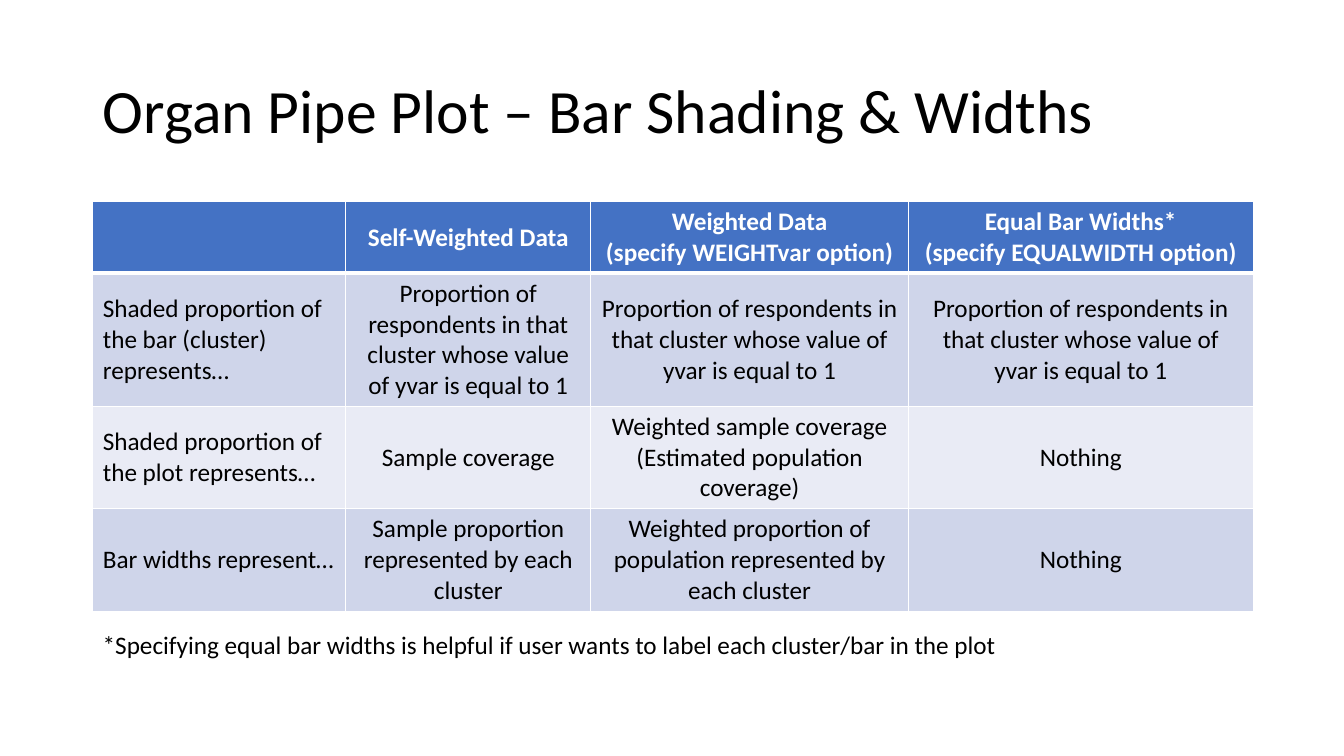
from dataclasses import dataclass

from lxml.etree import SubElement
from pptx import Presentation
from pptx.dml.color import RGBColor
from pptx.enum.text import MSO_ANCHOR as Anchor, MSO_AUTO_SIZE as AutoSize, PP_ALIGN as Align
from pptx.oxml.ns import qn
from pptx.slide import Slide
from pptx.table import _Cell as Cell
from pptx.text.text import TextFrame
from pptx.util import Emu, Pt

PX = 9144  # EMU in one px, 100 px to the inch
FONT = "Calibri"
BLACK, WHITE = "000000", "FFFFFF"
LEFT, WIDTH = 92, 1150


@dataclass(frozen=True)
class TableRow:
    height: int
    fill: str
    texts: tuple[str, ...]


COLUMN_WIDTHS = (251, 243, 315, 342)
CLUSTER_SHARE = "Proportion of respondents in that cluster whose value of yvar is equal to 1"
ROWS = (
    TableRow(70, "4472C4", (
        "",
        "Self-Weighted Data",
        "Weighted Data\n(specify WEIGHTvar option)",
        "Equal Bar Widths*\n(specify EQUALWIDTH option)",
    )),
    TableRow(131, "CFD5EA", (
        "Shaded proportion of the bar (cluster) represents…",
        CLUSTER_SHARE, CLUSTER_SHARE, CLUSTER_SHARE,
    )),
    TableRow(101, "E9EBF5", (
        "Shaded proportion of the plot represents…",
        "Sample coverage",
        "Weighted sample coverage\n(Estimated population coverage)",
        "Nothing",
    )),
    TableRow(101, "CFD5EA", (
        "Bar widths represent…",
        "Sample proportion represented by each cluster",
        "Weighted proportion of population represented by each cluster",
        "Nothing",
    )),
)


def px(length: int) -> Emu:
    return Emu(length * PX)


def color(value: str) -> RGBColor:
    return RGBColor.from_string(value)


def write(frame: TextFrame, text: str, size: int, ink: str = BLACK,
          align: Align = Align.LEFT, bold: bool = False) -> None:
    frame.text = text
    for para in frame.paragraphs:
        para.alignment = align
        for span in para.runs:
            span.font.name = FONT
            span.font.size = Pt(size)
            span.font.bold = bold
            span.font.color.rgb = color(ink)


def add_borders(cell: Cell, top: int, bottom: int) -> None:
    properties = cell._tc.get_or_add_tcPr()
    for side, points in (("L", 1), ("R", 1), ("T", top), ("B", bottom)):
        line = SubElement(properties, qn(f"a:ln{side}"), w=str(Pt(points)))
        fill = SubElement(line, qn("a:solidFill"))
        SubElement(fill, qn("a:srgbClr"), val=WHITE)


def add_title(page: Slide, text: str) -> None:
    title = page.shapes.title
    title.left, title.top = px(LEFT), px(40)
    title.width, title.height = px(WIDTH), px(145)
    frame = title.text_frame
    write(frame, text, 44)
    frame.auto_size = AutoSize.NONE
    frame.vertical_anchor = Anchor.MIDDLE
    frame.paragraphs[0].line_spacing = 0.9


def add_comparison(page: Slide) -> None:
    height = sum(row.height for row in ROWS)
    table = page.shapes.add_table(len(ROWS), len(COLUMN_WIDTHS), px(LEFT), px(200),
                                  px(WIDTH), px(height)).table
    table.horz_banding = False
    for column, width in zip(table.columns, COLUMN_WIDTHS):
        column.width = px(width)
    for r, row in enumerate(ROWS):
        table.rows[r].height = px(row.height)
        header = r == 0
        for c, text in enumerate(row.texts):
            cell = table.cell(r, c)
            # The thick rule lies between the header and the first body row
            add_borders(cell, top=3 if r == 1 else 1, bottom=3 if header else 1)
            cell.fill.solid()
            cell.fill.fore_color.rgb = color(row.fill)
            cell.vertical_anchor = Anchor.MIDDLE
            write(cell.text_frame, text, 18, WHITE if header else BLACK,
                  Align.CENTER if c else Align.LEFT, header)


def add_footnote(page: Slide, text: str) -> None:
    box = page.shapes.add_textbox(px(LEFT), px(619), px(WIDTH), px(40))
    box.text_frame.word_wrap = True
    box.text_frame.auto_size = AutoSize.SHAPE_TO_FIT_TEXT
    write(box.text_frame, text, 18)


def main() -> None:
    deck = Presentation()
    deck.slide_width, deck.slide_height = px(1333), px(750)
    page = deck.slides.add_slide(deck.slide_layouts.get_by_name("Title Only"))
    add_title(page, "Organ Pipe Plot – Bar Shading & Widths")
    add_comparison(page)
    add_footnote(page, "*Specifying equal bar widths is helpful if user wants "
                       "to label each cluster/bar in the plot")
    deck.save("out.pptx")


if __name__ == "__main__":
    main()
